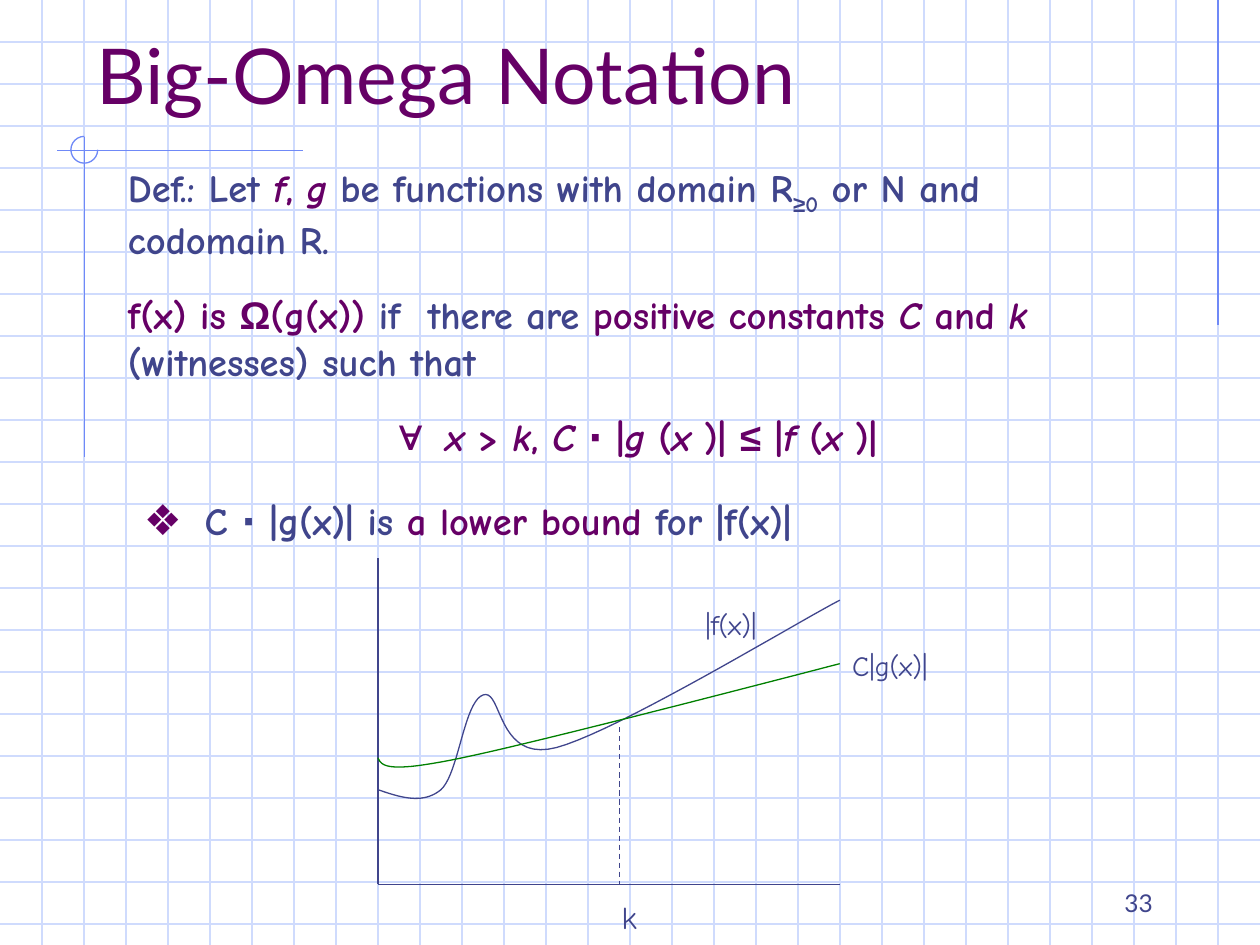
from lxml.etree import SubElement
from pptx import Presentation
from pptx.dml.color import RGBColor
from pptx.enum.dml import MSO_LINE
from pptx.enum.shapes import MSO_CONNECTOR, MSO_SHAPE
from pptx.enum.text import MSO_ANCHOR as Anchor, PP_ALIGN as Align
from pptx.oxml.ns import qn
from pptx.util import Cm, Pt

WIDTH, HEIGHT = 25.4, 19.05
STEP = WIDTH / 30
COLORS = {"grid": "CFDBFD", "rule": "6F89F7", "blue": "40458C",
          "purple": "660066", "green": "008000"}
HAND, SANS, SYMBOL = "Comic Neue", "Lato", "Arial"
SYMBOLS = "≥Ω⋅≤"

# Runs are (text, color, marks); marks: i = italic, s = subscript
DEFINITION = [
    ("Def.: Let ", "blue", ""), ("f", "purple", "i"), (", ", "purple", ""),
    ("g ", "purple", "i"), ("be functions with domain R", "blue", ""),
    ("≥", "blue", "s"), ("0", "blue", "s"), (" or N and codomain R.", "blue", ""),
]
CONDITION = [
    ("f(x) is ", "purple", ""), ("Ω", "purple", ""), ("(g(x))", "purple", ""),
    (" if  there are ", "blue", ""), ("positive constants ", "purple", ""),
    ("C ", "purple", "i"), ("and ", "purple", ""), ("k", "purple", "i"),
    (" (witnesses) such that", "blue", ""),
]
INEQUALITY = [
    ("x ", "purple", "i"), ("> ", "purple", ""), ("k", "purple", "i"),
    (",", "purple", ""), (" C ", "purple", "i"), ("⋅", "purple", ""),
    (" |", "purple", ""), ("g ", "purple", "i"), ("(", "purple", ""),
    ("x", "purple", "i"), (" )| ", "purple", ""), ("≤", "purple", ""),
    (" |", "purple", ""), ("f ", "purple", "i"), ("(", "purple", ""),
    ("x", "purple", "i"), (" )|", "purple", ""),
]
BOUND = [
    (" C ", "blue", ""), ("⋅", "blue", ""), (" |g(x)| is ", "blue", ""),
    ("a lower bound", "purple", ""), (" for |f(x)|", "blue", ""),
]
# (runs, alignment, space before, bullet)
BODY = [
    (DEFINITION, Align.LEFT, 16.5, None),
    (CONDITION, Align.LEFT, 16.5, None),
    (INEQUALITY, Align.CENTER, 16.5, "∀"),
    (BOUND, Align.LEFT, 22, "❖"),
]
# (text, box, size)
LABELS = [
    ("C|g(x)|", (16.93, 12.95, 3.81, 0.94), 16),
    ("|f(x)|", (13.97, 12.12, 3.81, 0.94), 16),
    ("k", (12.28, 17.98, 1.47, 1.02), 18),
]
# (start, end)
RULES = [
    ((29 * STEP, 0), (29 * STEP, 6.56)),
    ((6.1, 3.03), (1.14, 3.03)),
    ((1.7, 2.76), (1.7, 9.21)),
]
ORIGIN = (7.62, 17.83)
AXES = [((7.62, 11.25), ORIGIN), (ORIGIN, (16.93, 17.83))]
WITNESS = ((12.49, 14.66), (12.49, 17.83))
# Bezier points: a start, then two handles and an end for each piece
F_CURVE = [(7.62, 15.92), (8.08, 16.08), (8.53, 16.22), (8.89, 15.92),
           (9.25, 15.6), (9.35, 14.15), (9.74, 14.01),
           (10.13, 13.87), (10.01, 15.39), (11.22, 15.07),
           (12.43, 14.75), (16.03, 12.57), (16.93, 12.1)]
G_CURVE = [(7.62, 15.28), (7.7, 15.44), (7.78, 15.6), (9.31, 15.28),
           (10.86, 14.96), (15.7, 13.7), (16.93, 13.38)]


def paint(color):
    return RGBColor.from_string(COLORS[color])


def add_line(page, start, end, color, dashed=False):
    line = page.shapes.add_connector(
        MSO_CONNECTOR.STRAIGHT, *(Cm(v) for v in (*start, *end)))
    line.line.color.rgb = paint(color)
    line.line.width = Pt(0.75)
    if dashed:
        line.line.dash_style = MSO_LINE.DASH
    SubElement(line._element.spPr, qn("a:effectLst"))


def outline(shape, color):
    """Leave only a thin line on the shape."""
    shape.shadow.inherit = False
    shape.fill.background()
    shape.line.color.rgb = paint(color)
    shape.line.width = Pt(0.75)


def add_curve(page, points, color, pieces=20):
    """Draw a chain of cubic Bezier pieces."""
    trace = []
    for first in range(0, len(points) - 1, 3):
        a, b, c, d = points[first:first + 4]
        for count in range(1, pieces + 1):
            t = count / pieces
            u = 1 - t
            trace.append(tuple(
                Cm(u**3 * a[i] + 3 * u * u * t * b[i] + 3 * u * t * t * c[i] + t**3 * d[i])
                for i in (0, 1)))
    builder = page.shapes.build_freeform(*(Cm(v) for v in points[0]))
    builder.add_line_segments(trace, close=False)
    outline(builder.convert_to_shape(), color)


def add_bullet(para, sign):
    props = para._p.get_or_add_pPr()
    props.set("marL", str(Cm(1.27)))
    props.set("indent", str(Cm(-0.95)))
    color = SubElement(props, qn("a:buClr"))
    SubElement(color, qn("a:srgbClr"), val=COLORS["purple"])
    SubElement(props, qn("a:buSzPct"), val="110000")
    SubElement(props, qn("a:buFont"), typeface=SYMBOL)
    SubElement(props, qn("a:buChar"), char=sign)


def add_text(page, box, paras, size, font=HAND, bold=False, anchor=Anchor.TOP):
    frame = page.shapes.add_textbox(*(Cm(v) for v in box)).text_frame
    frame.word_wrap = True
    frame.vertical_anchor = anchor
    for index, (runs, align, space, bullet) in enumerate(paras):
        para = frame.add_paragraph() if index else frame.paragraphs[0]
        para.alignment = align
        para.space_before = Pt(space)
        if bullet:
            add_bullet(para, bullet)
        for text, color, marks in runs:
            span = para.add_run()
            span.text = text
            span.font.name = SYMBOL if text in SYMBOLS else font
            span.font.size = Pt(size)
            span.font.bold = bold
            span.font.italic = "i" in marks
            span.font.color.rgb = paint(color)
            if "s" in marks:
                span.font._element.set("baseline", "-25000")


def main():
    deck = Presentation()
    deck.slide_width, deck.slide_height = Cm(WIDTH), Cm(HEIGHT)
    page = deck.slides.add_slide(deck.slide_layouts[6])

    for row in range(1, 23):
        add_line(page, (0, row * STEP), (WIDTH, row * STEP), "grid")
    for column in range(1, 30):
        add_line(page, (column * STEP, 0), (column * STEP, HEIGHT), "grid")
    for start, end in RULES:
        add_line(page, start, end, "rule")
    ring = page.shapes.add_shape(MSO_SHAPE.ARC, Cm(1.43), Cm(2.75), Cm(0.54), Cm(0.54))
    ring.adjustments[0], ring.adjustments[1] = 0, 162  # three quarters, from the right
    outline(ring, "rule")

    add_text(page, (18.2, 17.98, 5.29, 0.64), [([("33", "blue", "")], Align.RIGHT, 0, None)],
             14, font=SANS, anchor=Anchor.BOTTOM)
    add_text(page, (1.69, 0.85, 22.86, 1.69),
             [([("Big-Omega Notation", "purple", "")], Align.LEFT, 0, None)],
             44, font=SANS, anchor=Anchor.BOTTOM)
    add_text(page, (2.33, 3.18, 20.74, 13.76), BODY, 22, bold=True)

    for start, end in AXES:
        add_line(page, start, end, "blue")
    add_curve(page, F_CURVE, "blue")
    for text, box, size in LABELS:
        add_text(page, box, [([(text, "blue", "")], Align.LEFT, 0, None)], size)
    add_line(page, *WITNESS, "blue", dashed=True)
    add_curve(page, G_CURVE, "green")
    deck.save("out.pptx")


if __name__ == "__main__":
    main()
